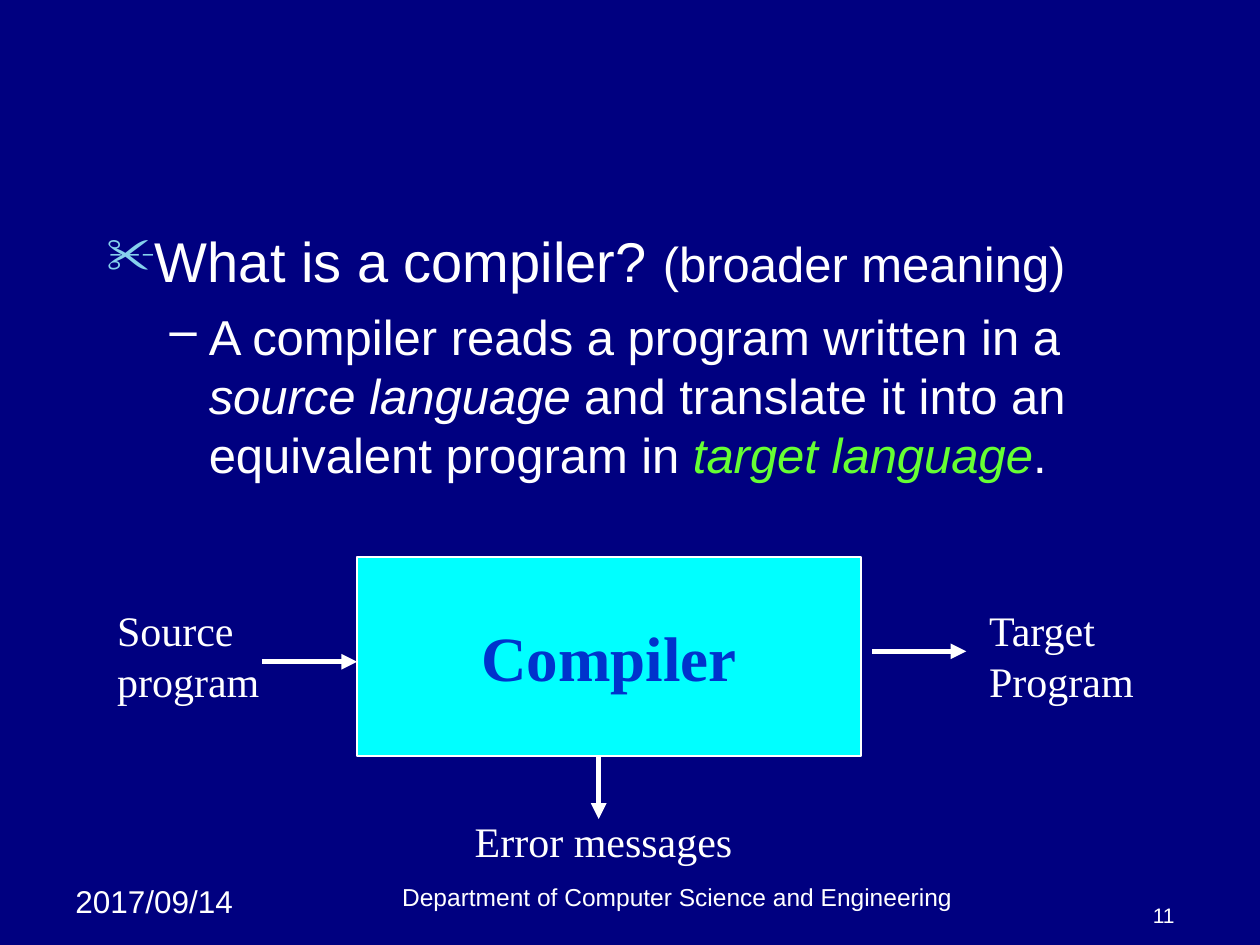
from dataclasses import dataclass
from typing import NamedTuple

from lxml.etree import SubElement
from pptx import Presentation
from pptx.dml.color import RGBColor
from pptx.enum.shapes import MSO_CONNECTOR, MSO_SHAPE
from pptx.enum.text import MSO_ANCHOR, PP_ALIGN
from pptx.oxml.ns import qn
from pptx.util import Cm, Pt

NAVY = RGBColor(0x00, 0x00, 0x80)
WHITE = RGBColor(0xFF, 0xFF, 0xFF)
CYAN = RGBColor(0x00, 0xFF, 0xFF)
BLUE = RGBColor(0x00, 0x33, 0xCC)
GREEN = RGBColor(0x66, 0xFF, 0x33)
SKY = RGBColor(0x86, 0xD1, 0xEC)
SANS = "Arial"
SERIF = "Times New Roman"


@dataclass
class Label:
    lines: list[str]
    left: float
    top: float
    width: float
    height: float
    size: int = 24
    font: str = SERIF
    align: PP_ALIGN = PP_ALIGN.LEFT
    anchor: MSO_ANCHOR = MSO_ANCHOR.TOP


class Arrow(NamedTuple):
    start: tuple[float, float]
    end: tuple[float, float]


class Piece(NamedTuple):
    text: str
    size: int = 28
    color: RGBColor = WHITE
    italic: bool = False


@dataclass
class Bullet:
    pieces: list[Piece]
    mark: str
    color: RGBColor
    percent: int
    margin: float
    hanging: float
    level: int = 0
    space_before: int = 0


def add_run(paragraph, text: str, *, size: int, font: str = SANS,
            color: RGBColor = WHITE, bold: bool = False, italic: bool = False) -> None:
    run = paragraph.add_run()
    run.text = text
    run.font.size = Pt(size)
    run.font.name = font
    run.font.color.rgb = color
    run.font.bold = bold
    run.font.italic = italic


def add_text_frame(slide, left: float, top: float, width: float, height: float):
    text_frame = slide.shapes.add_textbox(Cm(left), Cm(top), Cm(width), Cm(height)).text_frame
    text_frame.word_wrap = True
    return text_frame


def next_paragraph(text_frame, index: int):
    return text_frame.add_paragraph() if index else text_frame.paragraphs[0]


def draw_label(slide, label: Label) -> None:
    text_frame = add_text_frame(slide, label.left, label.top, label.width, label.height)
    text_frame.vertical_anchor = label.anchor
    for index, line in enumerate(label.lines):
        paragraph = next_paragraph(text_frame, index)
        paragraph.alignment = label.align
        add_run(paragraph, line, size=label.size, font=label.font)


def draw_bullets(slide, bullets: list[Bullet]) -> None:
    text_frame = add_text_frame(slide, 1.9, 4.45, 21.6, 13.77)
    for index, bullet in enumerate(bullets):
        paragraph = next_paragraph(text_frame, index)
        properties = paragraph._p.get_or_add_pPr()
        properties.set("marL", str(Cm(bullet.margin)))
        properties.set("indent", str(-Cm(bullet.hanging)))
        color = SubElement(properties, qn("a:buClr"))
        SubElement(color, qn("a:srgbClr"), val=str(bullet.color))
        SubElement(properties, qn("a:buSzPct"), val=str(bullet.percent * 1000))
        SubElement(properties, qn("a:buChar"), char=bullet.mark)
        paragraph.level = bullet.level
        paragraph.space_before = Pt(bullet.space_before)
        for piece in bullet.pieces:
            add_run(paragraph, piece.text, size=piece.size, color=piece.color,
                    italic=piece.italic)


def draw_compiler_box(slide) -> None:
    shape = slide.shapes.add_shape(MSO_SHAPE.RECTANGLE, Cm(7.2), Cm(11.23), Cm(10.16), Cm(4.01))
    shape.shadow.inherit = False
    shape.fill.solid()
    shape.fill.fore_color.rgb = CYAN
    shape.line.color.rgb = WHITE
    shape.line.width = Pt(1)
    shape.text_frame.vertical_anchor = MSO_ANCHOR.MIDDLE
    paragraph = shape.text_frame.paragraphs[0]
    paragraph.alignment = PP_ALIGN.CENTER
    add_run(paragraph, "Compiler", size=36, font=SERIF, color=BLUE, bold=True)


def draw_arrow(slide, arrow: Arrow) -> None:
    points = [Cm(value) for value in (*arrow.start, *arrow.end)]
    connector = slide.shapes.add_connector(MSO_CONNECTOR.STRAIGHT, *points)
    connector.line.color.rgb = WHITE
    connector.line.width = Pt(3)
    SubElement(connector.line._get_or_add_ln(), qn("a:tailEnd"), type="triangle")
    SubElement(connector._element.spPr, qn("a:effectLst"))


BULLETS = [
    Bullet([Piece("What is a compiler? ", 32), Piece("(broader meaning)")],
           "✂", SKY, 90, margin=0.95, hanging=0.95),
    Bullet([Piece("A compiler reads a program written in a "),
            Piece("source language", italic=True),
            Piece(" and translate it into an equivalent program in "),
            Piece("target language", color=GREEN, italic=True),
            Piece(".")],
           "–", WHITE, 100, margin=2.06, hanging=0.79, level=1, space_before=7),
]

LABELS = [
    # Footer
    Label(["2017/09/14"], 1.27, 17.65, 4.01, 1.02, 18, SANS),
    Label(["Department of Computer Science and Engineering"], 5.08, 17.65, 17.15, 0.84,
          14, SANS, PP_ALIGN.CENTER, MSO_ANCHOR.BOTTOM),
    Label(["11"], 22.23, 17.98, 1.7, 0.84, 12, SANS, PP_ALIGN.RIGHT, MSO_ANCHOR.BOTTOM),
    # Diagram
    Label(["Source", "program"], 2.11, 12.07, 3.6, 2.29),
    Label(["Target", "Program"], 19.69, 12.07, 4.01, 2.29),
    Label(["Error messages"], 9.32, 16.31, 6.15, 1.27),
]

ARROWS = [
    Arrow((5.28, 13.34), (7.2, 13.34)),
    Arrow((17.58, 13.13), (19.48, 13.13)),
    Arrow((12.07, 15.24), (12.07, 16.51)),
]


def main() -> None:
    presentation = Presentation()
    presentation.slide_width = Cm(25.4)
    presentation.slide_height = Cm(19.05)
    slide = presentation.slides.add_slide(presentation.slide_layouts[6])
    slide.background.fill.solid()
    slide.background.fill.fore_color.rgb = NAVY

    # Body text
    draw_bullets(slide, BULLETS)

    # Compiler diagram and footer
    draw_compiler_box(slide)
    for label in LABELS:
        draw_label(slide, label)
    for arrow in ARROWS:
        draw_arrow(slide, arrow)

    presentation.save("out.pptx")


if __name__ == "__main__":
    main()
